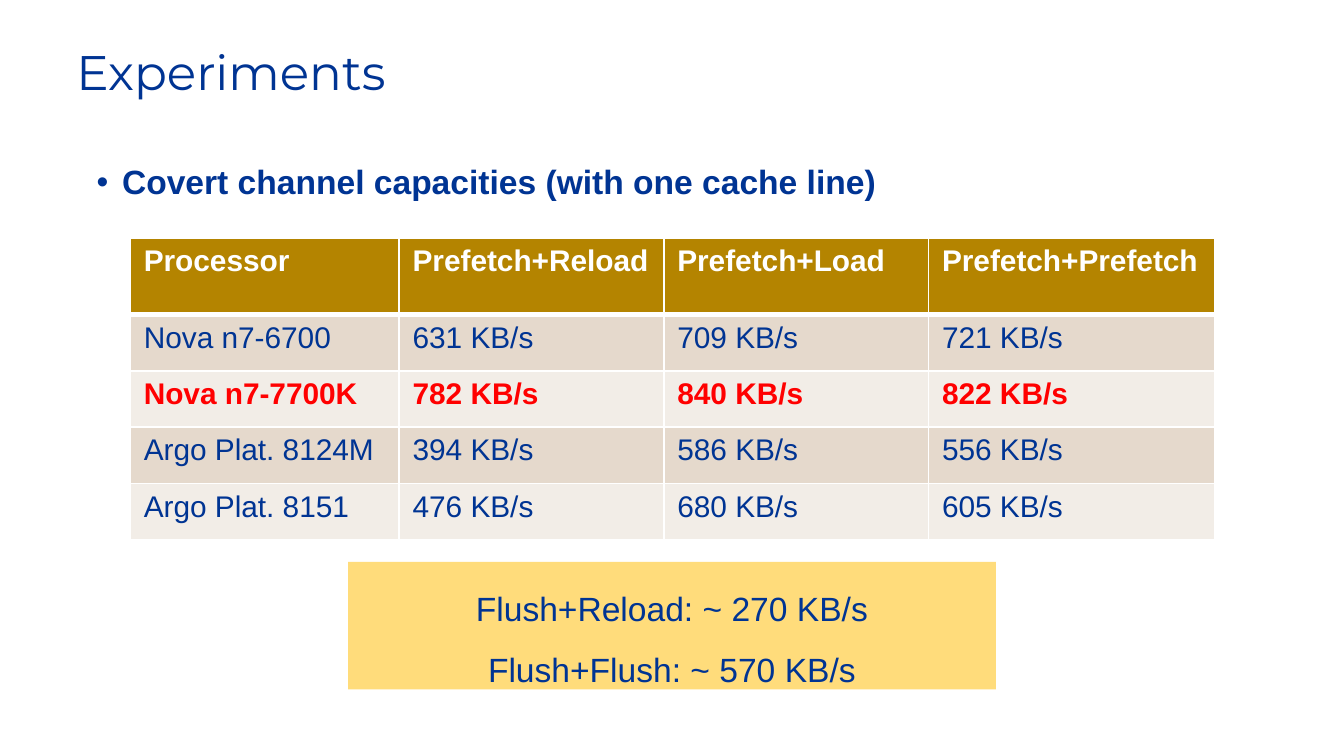
from lxml import etree
from pptx import Presentation
from pptx.dml.color import RGBColor
from pptx.enum.shapes import MSO_SHAPE
from pptx.enum.text import MSO_ANCHOR, MSO_AUTO_SIZE, PP_ALIGN
from pptx.oxml.ns import qn
from pptx.util import Inches, Pt

NAVY = RGBColor(0x00, 0x34, 0x93)
WHITE = RGBColor(0xFF, 0xFF, 0xFF)
RED = RGBColor(0xFF, 0x00, 0x00)
GOLD = RGBColor(0xB4, 0x84, 0x00)
YELLOW = RGBColor(0xFF, 0xDC, 0x7B)
BANDS = (RGBColor(0xE5, 0xD9, 0xCC), RGBColor(0xF2, 0xED, 0xE7))

CAPACITIES = [
    ("Processor", "Prefetch+Reload", "Prefetch+Load", "Prefetch+Prefetch"),
    ("Nova n7-6700", "631 KB/s", "709 KB/s", "721 KB/s"),
    ("Nova n7-7700K", "782 KB/s", "840 KB/s", "822 KB/s"),
    ("Argo Plat. 8124M", "394 KB/s", "586 KB/s", "556 KB/s"),
    ("Argo Plat. 8151", "476 KB/s", "680 KB/s", "605 KB/s"),
]
COLUMN_WIDTHS = (2, 1.97, 1.97, 2.13)
ROW_HEIGHTS = (0.57, 0.42, 0.42, 0.42, 0.42)
FASTEST_ROW = 2
BASELINES = ["Flush+Reload: ~ 270 KB/s", "Flush+Flush: ~ 570 KB/s"]


def set_font(paragraph, size, color=NAVY, bold=False, name="Arial"):
    font = paragraph.font
    font.name, font.size, font.bold = name, Pt(size), bold
    font.color.rgb = color


def add_text_line(slide, box, text):
    frame = slide.shapes.add_textbox(*map(Inches, box)).text_frame
    frame.word_wrap = True
    line = frame.paragraphs[0]
    line.text = text
    line.line_spacing = 0.9
    return frame, line


def add_title(slide, box):
    _, title = add_text_line(slide, box, "Experiments")
    set_font(title, 26, name="Montserrat")


def add_bullet(slide, box):
    frame, topic = add_text_line(
        slide, box, "Covert channel capacities (with one cache line)")
    frame.margin_top = Inches(0.06)
    topic.space_before = Pt(7.5)
    set_font(topic, 18, bold=True)
    properties = topic._p.get_or_add_pPr()
    properties.set("marL", str(Inches(0.19)))
    properties.set("indent", str(-Inches(0.19)))
    defaults = properties.find(qn("a:defRPr"))
    defaults.addprevious(etree.Element(qn("a:buFont"), typeface="Arial"))
    defaults.addprevious(etree.Element(qn("a:buChar"), char="•"))


def set_borders(cell, top_width, bottom_width):
    """Draw white borders; they must come before the fill in the cell XML."""
    properties = cell._tc.get_or_add_tcPr()
    widths = {"lnL": 1, "lnR": 1, "lnT": top_width, "lnB": bottom_width}
    for position, (side, width) in enumerate(widths.items()):
        line = etree.Element(qn(f"a:{side}"), w=str(Pt(width)))
        fill = etree.SubElement(line, qn("a:solidFill"))
        etree.SubElement(fill, qn("a:srgbClr"), val=str(WHITE))
        properties.insert(position, line)


def add_capacity_table(slide, box):
    table = slide.shapes.add_table(
        len(CAPACITIES), len(COLUMN_WIDTHS), *map(Inches, box)).table
    for column, width in zip(table.columns, COLUMN_WIDTHS):
        column.width = Inches(width)
    for r, (row, height) in enumerate(zip(table.rows, ROW_HEIGHTS)):
        row.height = Inches(height)
        is_header, is_fastest = r == 0, r == FASTEST_ROW
        color = WHITE if is_header else RED if is_fastest else NAVY
        for cell, text in zip(row.cells, CAPACITIES[r]):
            cell.text = text
            set_font(cell.text_frame.paragraphs[0], 16, color,
                     bold=is_header or is_fastest)
            cell.fill.solid()
            cell.fill.fore_color.rgb = GOLD if is_header else BANDS[(r - 1) % 2]
            # The thick rule under the header is shared with the row below it.
            set_borders(cell, top_width=3 if r == 1 else 1,
                        bottom_width=3 if is_header else 1)


def add_baseline_callout(slide, box):
    callout = slide.shapes.add_shape(MSO_SHAPE.RECTANGLE, *map(Inches, box))
    callout.shadow.inherit = False
    callout.fill.solid()
    callout.fill.fore_color.rgb = YELLOW
    callout.line.fill.background()
    frame = callout.text_frame
    frame.word_wrap = True
    frame.auto_size = MSO_AUTO_SIZE.SHAPE_TO_FIT_TEXT
    frame.vertical_anchor = MSO_ANCHOR.MIDDLE
    frame.margin_top, frame.margin_bottom = Inches(0.07), Inches(0.03)
    frame.text = "\n".join(BASELINES)
    for baseline in frame.paragraphs:
        baseline.alignment = PP_ALIGN.CENTER
        baseline.line_spacing = 1.5
        set_font(baseline, 18)


def main():
    presentation = Presentation()
    presentation.slide_width = Inches(10)
    presentation.slide_height = presentation.slide_width * 9 // 16
    slide = presentation.slides.add_slide(presentation.slide_layouts[6])
    add_bullet(slide, (0.62, 1.17, 8.73, 0.33))
    add_title(slide, (0.47, 0.31, 8.62, 0.59))
    add_capacity_table(slide, (0.97, 1.77, 8.07, 2.25))
    add_baseline_callout(slide, (2.59, 4.18, 4.82, 0.95))
    presentation.save("out.pptx")


if __name__ == "__main__":
    main()
